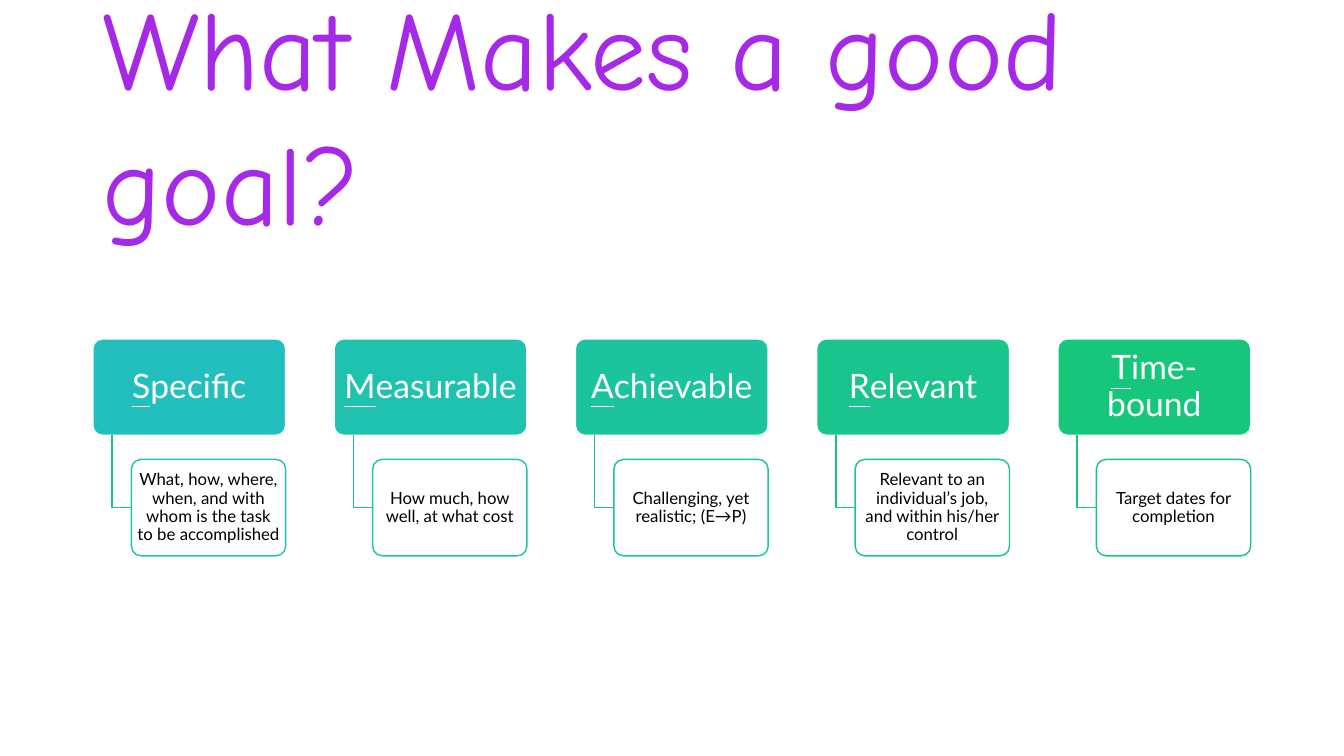
from lxml.etree import SubElement
from pptx import Presentation
from pptx.dml.color import RGBColor as Rgb
from pptx.enum.shapes import MSO_SHAPE as Kind
from pptx.enum.text import MSO_ANCHOR as Anchor, MSO_AUTO_SIZE as Fit, PP_ALIGN as Align
from pptx.oxml.ns import qn
from pptx.util import Cm, Pt

HUES = {
    "title": "A629E7", "white": "FFFFFF", "black": "000000", "link": "16C67B",
    "S": "22BFBE", "M": "1FC1AF", "A": "1CC39F", "R": "19C48D", "T": "16C67B",
}
GOALS = [
    ("Specific", "What, how, where, when, and with whom is the task to be accomplished"),
    ("Measurable", "How much, how well, at what cost"),
    ("Achievable", "Challenging, yet realistic; (E→P)"),
    ("Relevant", "Relevant to an individual’s job, and within his/her control"),
    ("Time-bound", "Target dates for completion"),
]


def hue(name):
    """Return the named colour."""
    return Rgb.from_string(HUES[name])


def style(para, face, size, color):
    """Set the font of a whole paragraph."""
    para.font.name, para.font.size = face, Pt(size)
    para.font.color.rgb = hue(color)


def head(slide, x, y, w, h):
    """Place the slide title in the given box."""
    title = slide.shapes.title
    title.left, title.top, title.width, title.height = Cm(x), Cm(y), Cm(w), Cm(h)
    frame = title.text_frame
    frame.text = "What Makes a good goal?"
    frame.auto_size, frame.word_wrap = Fit.NONE, True
    frame.vertical_anchor = Anchor.MIDDLE
    para = frame.paragraphs[0]
    para.alignment = Align.LEFT
    style(para, "Comic Neue", 80, "title")


def card(slide, box, fill, edge, inset):
    """Draw a rounded card and return it with its empty paragraph."""
    shape = slide.shapes.add_shape(Kind.ROUNDED_RECTANGLE, *map(Cm, box))
    shape.adjustments[0] = 0.1
    shape.shadow.inherit = False
    shape.fill.solid()
    shape.fill.fore_color.rgb = hue(fill)
    shape.line.color.rgb, shape.line.width = hue(edge), Pt(1)
    frame = shape.text_frame
    frame.word_wrap, frame.vertical_anchor = True, Anchor.MIDDLE
    frame.margin_left = frame.margin_right = Cm(inset[0])
    frame.margin_top = frame.margin_bottom = Cm(inset[1])
    para = frame.paragraphs[0]
    para.alignment, para.line_spacing = Align.CENTER, 0.9
    return shape, para


def elbow(slide, x, y, w, h):
    """Draw the line that runs down and then right."""
    pen = slide.shapes.build_freeform(Cm(x), Cm(y))
    pen.add_line_segments([(Cm(x), Cm(y + h)), (Cm(x + w), Cm(y + h))], close=False)
    line = pen.convert_to_shape()
    line.shadow.inherit = False
    line.fill.background()
    line.line.color.rgb, line.line.width = hue("link"), Pt(1)


def goal(slide, x, y, w, h, name, note):
    """Draw one goal: its name, its note and the link between them."""
    key, step = name[0], w / 5
    para = card(slide, (x, y, w, h), key, "white", (0.13, 0.08))[1]
    for part, under in ((key, True), (name[1:], False)):
        run = para.add_run()
        run.text, run.font.underline = part, under
    style(para, "Lato", 24, "white")
    elbow(slide, x + step / 2, y + h, step / 2, h * 0.75)
    box = (x + step, y + h * 1.25, w - step, h)
    shape, para = card(slide, box, "white", key, (0.08, 0.05))
    tint = shape.fill._xPr.find(qn("a:solidFill"))[0]
    SubElement(tint, qn("a:alpha")).set("val", "90000")
    para.text = note
    style(para, "Lato", 12, "black")


def main():
    """Build and save the slide."""
    deck = Presentation()
    deck.slide_width, deck.slide_height = Cm(33.87), Cm(19.05)
    slide = deck.slides.add_slide(deck.slide_layouts[5])
    slide.background.fill.solid()
    slide.background.fill.fore_color.rgb = hue("white")
    head(slide, 2.33, 1.01, 29.21, 3.68)
    for i, (name, note) in enumerate(GOALS):
        goal(slide, 2.34 + 6.08 * i, 8.54, 4.86, 2.43, name, note)
    deck.save("out.pptx")


if __name__ == "__main__":
    main()
